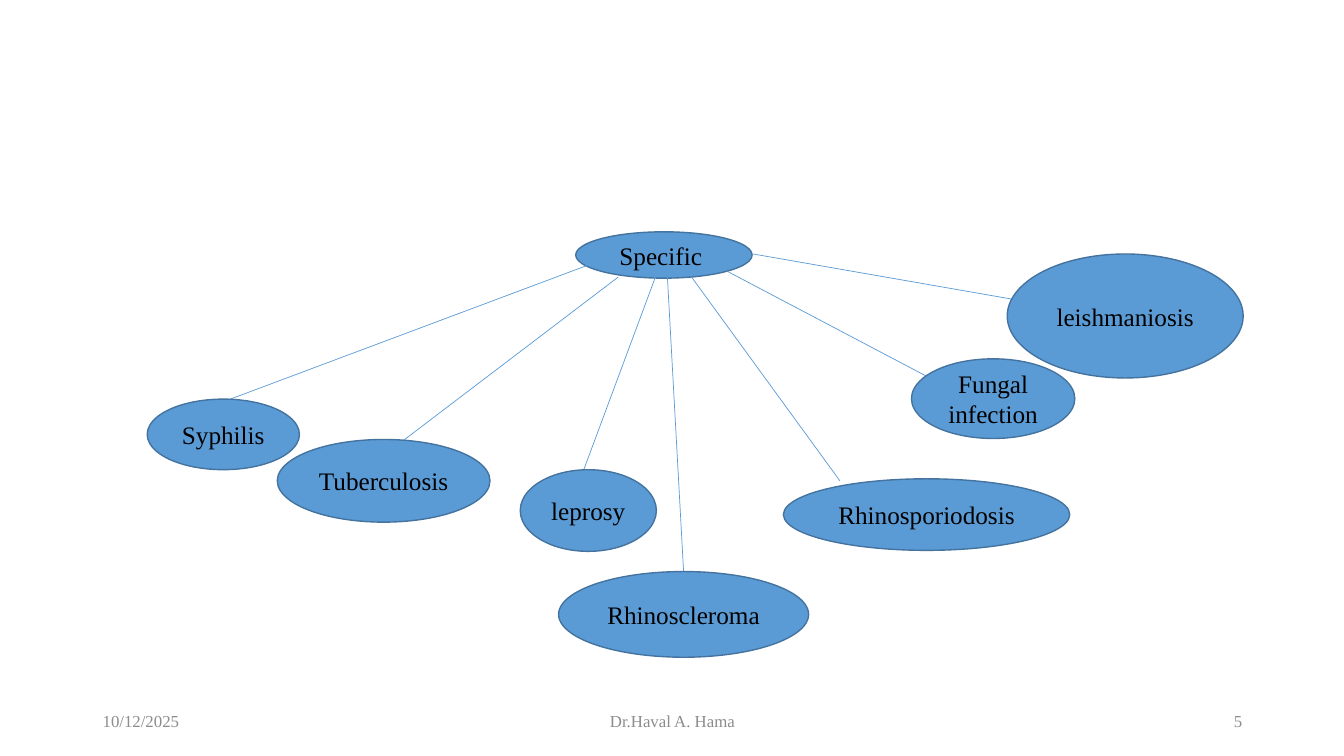
from lxml import etree
from pptx import Presentation
from pptx.dml.color import RGBColor
from pptx.enum.shapes import MSO_CONNECTOR, MSO_SHAPE
from pptx.enum.text import MSO_ANCHOR, PP_ALIGN
from pptx.oxml.ns import qn
from pptx.util import Inches, Pt

LEFT, CENTER, RIGHT = PP_ALIGN.LEFT, PP_ALIGN.CENTER, PP_ALIGN.RIGHT
MIDDLE = MSO_ANCHOR.MIDDLE
ELLIPSE = MSO_SHAPE.OVAL
STRAIGHT = MSO_CONNECTOR.STRAIGHT
TOP_SITE = 0

WIDTH, HEIGHT = 13.33, 7.5
BLANK_LAYOUT = 6

HUB = ("Specific ", (5.71, 2.3, 1.75, 0.46))
# label, ellipse (left, top, width, height), line start, line end (None: top centre)
DISEASES = [
    ("Syphilis ", (1.46, 3.96, 1.51, 0.7), (5.86, 2.62), (2.07, 4.04)),
    ("Tuberculosis", (2.75, 4.36, 2.11, 0.82), (6.13, 2.75), (3.79, 4.53)),
    ("leprosy", (5.16, 4.66, 1.35, 0.81), (6.5, 2.75), (5.79, 4.66)),
    ("Rhinoscleroma ", (5.54, 5.67, 2.48, 0.85), (6.62, 2.75), None),
    ("Rhinosporiodosis", (7.77, 4.75, 2.84, 0.71), (6.86, 2.75), (8.33, 4.77)),
    ("Fungal infection", (9.04, 3.56, 1.62, 0.79), (7.21, 2.69), (9.64, 3.97)),
    ("leishmaniosis", (9.99, 2.52, 2.34, 1.23), (7.47, 2.52), (10.91, 3.12)),
]
FOOTER_TOP, FOOTER_HEIGHT = 6.95, 0.4
# text, left, width, alignment
FOOTER = [
    ("10/12/2025", 0.92, 3, LEFT),
    ("Dr.Haval A. Hama", 4.42, 4.5, CENTER),
    ("5", 9.42, 3, RIGHT),
]


class Theme:
    font = "Times New Roman"
    fill = RGBColor.from_string("5B9BD5")
    outline = RGBColor.from_string("43739E")
    label = {"size": Pt(18), "color": RGBColor.from_string("000000")}
    footer = {"size": Pt(12), "color": RGBColor.from_string("8C8C8C")}
    outline_width = Pt(1)
    link_width = Pt(0.5)


def write(sp, text, style, align):
    tf = sp.text_frame
    for name, value in {"word_wrap": True, "vertical_anchor": MIDDLE}.items():
        setattr(tf, name, value)
    p = tf.paragraphs[0]
    p.alignment = align
    r = p.add_run()
    r.text = text
    for name, value in {"name": Theme.font, "size": style["size"]}.items():
        setattr(r.font, name, value)
    r.font.color.rgb = style["color"]


def add_ellipse(s, text, box):
    sp = s.shapes.add_shape(ELLIPSE, *map(Inches, box))
    sp.shadow.inherit = False
    sp.fill.solid()
    sp.fill.fore_color.rgb = Theme.fill
    sp.line.color.rgb = Theme.outline
    sp.line.width = Theme.outline_width
    write(sp, text, Theme.label, CENTER)
    return sp


def add_link(s, hub, disease, start, end):
    """Draw a line just above the hub and below the disease ellipses."""
    link = s.shapes.add_connector(STRAIGHT, *map(Inches, start + (end or start)))
    if end is None:
        link.end_connect(disease, TOP_SITE)
    link.line.color.rgb = Theme.fill
    link.line.width = Theme.link_width
    etree.SubElement(link._element.spPr, qn("a:effectLst"))
    hub._element.addnext(link._element)


def main():
    prs = Presentation()
    prs.slide_width, prs.slide_height = Inches(WIDTH), Inches(HEIGHT)
    s = prs.slides.add_slide(prs.slide_layouts[BLANK_LAYOUT])

    hub = add_ellipse(s, *HUB)
    for label, box, start, end in DISEASES:
        add_link(s, hub, add_ellipse(s, label, box), start, end)

    for text, left, width, align in FOOTER:
        box = (left, FOOTER_TOP, width, FOOTER_HEIGHT)
        write(s.shapes.add_textbox(*map(Inches, box)), text, Theme.footer, align)

    prs.save("out.pptx")


if __name__ == "__main__":
    main()
